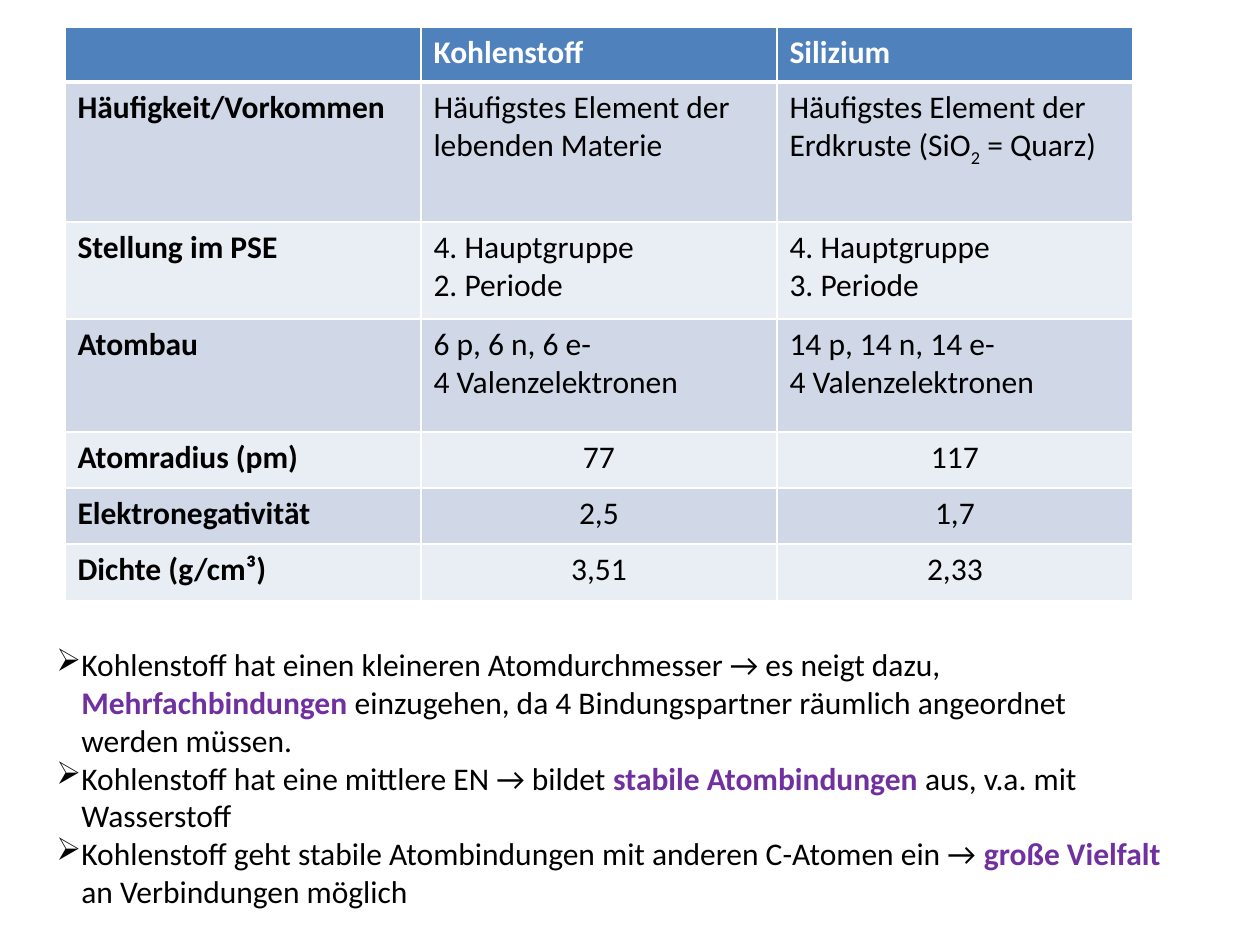
"""Build a slide comparing carbon and silicon."""
from dataclasses import dataclass

from lxml import etree
from pptx import Presentation
from pptx.dml.color import RGBColor
from pptx.enum.text import MSO_AUTO_SIZE, PP_ALIGN
from pptx.oxml.ns import qn
from pptx.util import Pt

LEFT, CENTER = PP_ALIGN.LEFT, PP_ALIGN.CENTER
GROW = MSO_AUTO_SIZE.SHAPE_TO_FIT_TEXT
EMU_PER_PX = 914400 // 126
EMU_PER_PT = 12700
BLANK_LAYOUT = 6


@dataclass(frozen=True)
class Theme:
    font: str = "Calibri"
    size: int = 18
    text: str = "000000"
    accent: str = "7030A0"
    header_text: str = "FFFFFF"
    header_fill: str = "4F81BD"
    bands: tuple[str, str] = ("D0D8E8", "E9EDF4")
    border: str = "FFFFFF"
    thin: int = 1
    thick: int = 3


THEME = Theme()


@dataclass(frozen=True)
class Span:
    text: str
    color: str = THEME.text
    bold: bool = False
    baseline: int = 0


Line = tuple[Span, ...]


@dataclass(frozen=True)
class Row:
    height: int
    label: str
    carbon: tuple[Line, ...]
    silicon: tuple[Line, ...]
    align: PP_ALIGN = LEFT


def px(length: int) -> int:
    """Turn pixels into EMU."""
    return length * EMU_PER_PX


def plain(*texts: str) -> tuple[Line, ...]:
    """Give each text a line of its own."""
    return tuple((Span(text),) for text in texts)


def key(text: str) -> Span:
    """Mark a key phrase."""
    return Span(text, THEME.accent, True)


TABLE_LEFT, TABLE_TOP, COLUMN_WIDTH = 65, 27, 356
HEADER_HEIGHT = 55
HEADINGS = ("", "Kohlenstoff", "Silizium")
ROWS = (
    Row(140, "Häufigkeit/Vorkommen",
        plain("Häufigstes Element der lebenden Materie"),
        ((Span("Häufigstes Element der Erdkruste (SiO"),
          Span("2", baseline=-25000), Span(" = Quarz)")),)),
    Row(97, "Stellung im PSE", plain("4. Hauptgruppe", "2. Periode"),
        plain("4. Hauptgruppe", "3. Periode")),
    Row(113, "Atombau", plain("6 p, 6 n, 6 e-", "4 Valenzelektronen"),
        plain("14 p, 14 n, 14 e-", "4 Valenzelektronen")),
    Row(56, "Atomradius (pm)", plain("77"), plain("117"), CENTER),
    Row(56, "Elektronegativität", plain("2,5"), plain("1,7"), CENTER),
    Row(57, "Dichte (g/cm³)", plain("3,51"), plain("2,33"), CENTER),
)
CONCLUSIONS: tuple[Line, ...] = (
    (Span("Kohlenstoff hat einen kleineren Atomdurchmesser → es neigt dazu, "),
     key("Mehrfachbindungen"),
     Span(" einzugehen, da 4 Bindungspartner räumlich angeordnet werden müssen.")),
    (Span("Kohlenstoff hat eine mittlere EN → bildet "),
     key("stabile Atombindungen "), Span("aus, v.a. mit Wasserstoff")),
    (Span("Kohlenstoff geht stabile Atombindungen mit anderen C-Atomen ein →"),
     key(" große Vielfalt"), Span(" an Verbindungen möglich")),
)


def write_lines(frame, lines: tuple[Line, ...], align: PP_ALIGN = LEFT) -> None:
    """Write lines into a text frame, one paragraph each."""
    for index, line in enumerate(lines):
        para = frame.add_paragraph() if index else frame.paragraphs[0]
        para.alignment = align
        for span in line:
            run = para.add_run()
            run.text = span.text
            run.font.name = THEME.font
            run.font.size = Pt(THEME.size)
            run.font.bold = span.bold
            run.font.color.rgb = RGBColor.from_string(span.color)
            if span.baseline:
                run._r.get_or_add_rPr().set("baseline", str(span.baseline))


def add_border(cell, side: str, width: int) -> None:
    """Draw one side of a cell border."""
    properties = cell._tc.get_or_add_tcPr()
    line = etree.SubElement(properties, qn(f"a:ln{side}"), w=str(width * EMU_PER_PT))
    fill = etree.SubElement(line, qn("a:solidFill"))
    etree.SubElement(fill, qn("a:srgbClr"), val=THEME.border)


def fill_cell(cell, lines: tuple[Line, ...], fill: str, align: PP_ALIGN,
              top: int, bottom: int) -> None:
    """Give a cell its text, borders and fill."""
    write_lines(cell.text_frame, lines, align)
    for side, width in zip("LRTB", (THEME.thin, THEME.thin, top, bottom)):
        add_border(cell, side, width)
    cell.fill.solid()
    cell.fill.fore_color.rgb = RGBColor.from_string(fill)


def add_comparison(page) -> None:
    """Add the table of both elements."""
    heights = (HEADER_HEIGHT, *(row.height for row in ROWS))
    table = page.shapes.add_table(
        len(heights), len(HEADINGS), px(TABLE_LEFT), px(TABLE_TOP),
        px(COLUMN_WIDTH * len(HEADINGS)), px(sum(heights))).table
    table.first_row = table.horz_banding = False
    for table_row, height in zip(table.rows, heights):
        table_row.height = px(height)
    for column, heading in enumerate(HEADINGS):
        table.columns[column].width = px(COLUMN_WIDTH)
        lines = ((Span(heading, THEME.header_text, True),),) if heading else ()
        fill_cell(table.cell(0, column), lines, THEME.header_fill, LEFT,
                  THEME.thin, THEME.thick)
    for index, row in enumerate(ROWS):
        label = ((Span(row.label, bold=True),),)
        top = THEME.thin if index else THEME.thick
        for column, lines in enumerate((label, row.carbon, row.silicon)):
            fill_cell(table.cell(index + 1, column), lines,
                      THEME.bands[index % 2], row.align if column else LEFT,
                      top, THEME.thin)


def add_conclusions(page) -> None:
    """Add the bulleted conclusions."""
    box = page.shapes.add_textbox(px(44), px(639), px(1131), px(279))
    frame = box.text_frame
    frame.word_wrap = True
    frame.auto_size = GROW
    write_lines(frame, CONCLUSIONS)
    for para in frame.paragraphs:
        properties = para._p.get_or_add_pPr()
        properties.set("marL", str(px(25)))
        properties.set("indent", str(px(-25)))
        etree.SubElement(properties, qn("a:buChar"), char="➢")


def main() -> None:
    """Build and save the deck."""
    deck = Presentation()
    deck.slide_width, deck.slide_height = px(1260), px(945)
    page = deck.slides.add_slide(deck.slide_layouts[BLANK_LAYOUT])
    add_comparison(page)
    add_conclusions(page)
    deck.save("out.pptx")


if __name__ == "__main__":
    main()
